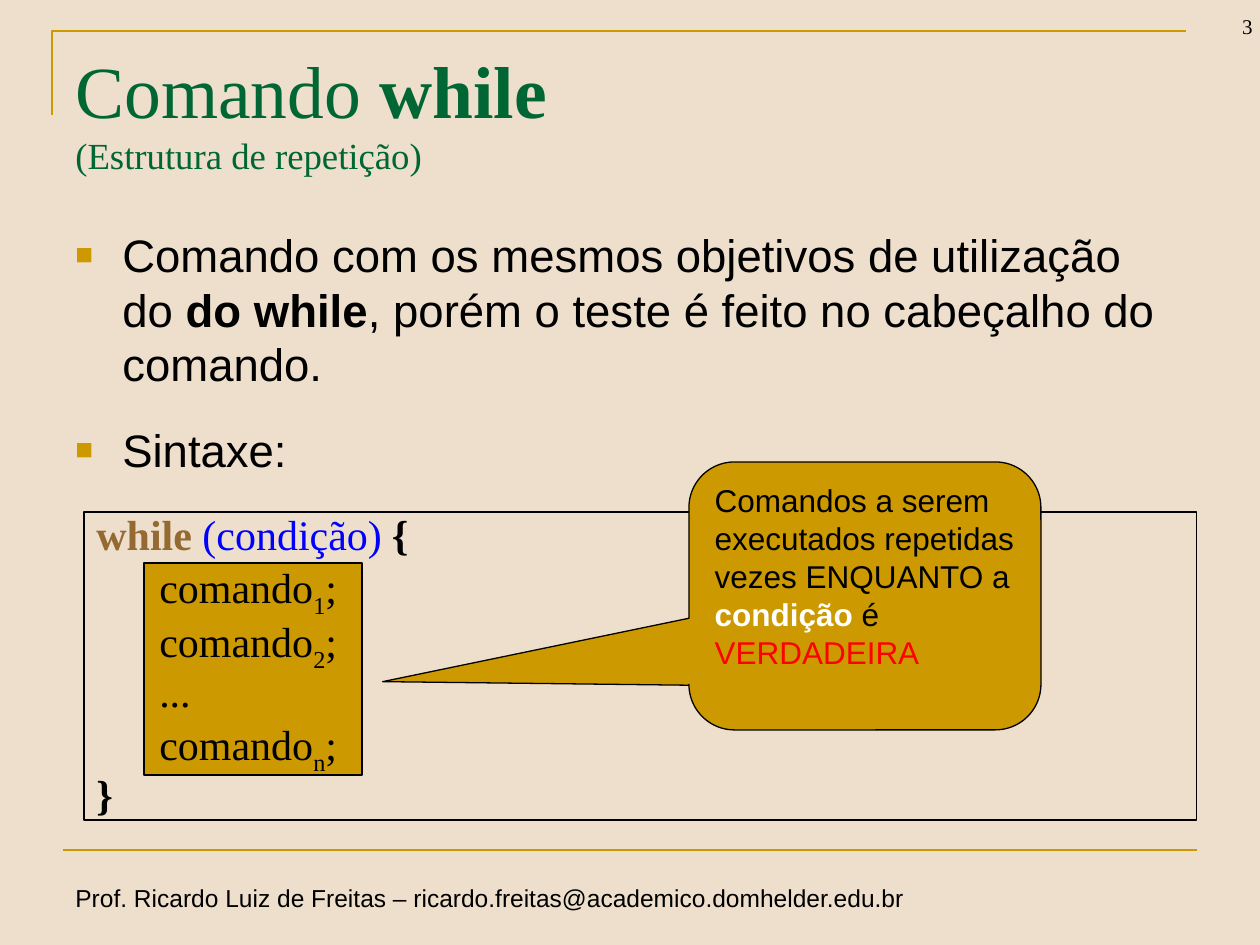
import pptx
import pptx.dml.color
import pptx.enum.shapes
import pptx.enum.text
import pptx.oxml
import pptx.oxml.ns
import pptx.util
from lxml import etree

EMU_PER_PX = 914400 // 126
GOLD, GREEN, BLACK = "CC9900", "006633", "000000"
SANS, SERIF = "Arial", "Times New Roman"
SHAPES = pptx.enum.shapes.MSO_SHAPE
ANCHOR = pptx.enum.text.MSO_ANCHOR
ALIGN = pptx.enum.text.PP_ALIGN


def px(length):
    return pptx.util.Emu(length * EMU_PER_PX)


def color(hex_string):
    return pptx.dml.color.RGBColor.from_string(hex_string)


def write_run(paragraph, text, font=SANS, size=18, fill=BLACK, bold=False, baseline=0):
    run = paragraph.add_run()
    run.text = text
    run.font.name = font
    run.font.size = pptx.util.Pt(size)
    run.font.bold = bold
    run.font.color.rgb = color(fill)
    if baseline:
        run.font._element.set("baseline", str(baseline * 1000))


def add_bullet(paragraph, indent=47):
    properties = paragraph._p.get_or_add_pPr()
    properties.set("marL", str(px(indent)))
    properties.set("indent", str(-px(indent)))
    namespace = pptx.oxml.ns.nsdecls("a")
    for xml in (
        f'<a:buClr {namespace}><a:srgbClr val="{GOLD}"/></a:buClr>',
        f'<a:buSzPct {namespace} val="65000"/>',
        f'<a:buFont {namespace} typeface="{SANS}"/>',
        f'<a:buChar {namespace} char="■"/>',
    ):
        properties.append(pptx.oxml.parse_xml(xml))


def write_text(shape, paragraphs, align=ALIGN.LEFT, anchor=ANCHOR.TOP, wrap=True,
               bullet=False, line_spacing=None, before=0, after=0, **base):
    """Fill a shape; a paragraph is a list of (text, changes to the base format)."""
    frame = shape.text_frame
    frame.word_wrap = wrap
    frame.vertical_anchor = anchor
    for index, runs in enumerate(paragraphs):
        paragraph = frame.add_paragraph() if index else frame.paragraphs[0]
        paragraph.alignment = align
        if line_spacing:
            paragraph.line_spacing = line_spacing
        if index and before:
            paragraph.space_before = pptx.util.Pt(before)
        if after:
            paragraph.space_after = pptx.util.Pt(after)
        if bullet:
            add_bullet(paragraph)
        for text, changes in runs:
            if text == "\n":
                paragraph.add_line_break()
            else:
                write_run(paragraph, text, **{**base, **changes})


def add_text(slide, box, paragraphs, **options):
    shape = slide.shapes.add_textbox(*map(px, box))
    write_text(shape, paragraphs, **options)


def add_outlined(slide, kind, box, fill=None):
    shape = slide.shapes.add_shape(kind, *map(px, box))
    shape.shadow.inherit = False
    if fill:
        shape.fill.solid()
        shape.fill.fore_color.rgb = color(fill)
    else:
        shape.fill.background()
    shape.line.color.rgb = color(BLACK)
    shape.line.width = pptx.util.Pt(0.75)
    return shape


def style_rule(shape):
    shape.line.color.rgb = color(GOLD)
    shape.line.width = pptx.util.Pt(1.5)


def add_corner_rule(slide):
    builder = slide.shapes.build_freeform(px(52), px(115), scale=1.0)
    builder.add_line_segments([(px(52), px(31)), (px(1186), px(31))], close=False)
    shape = builder.convert_to_shape()
    shape.shadow.inherit = False
    shape.fill.background()
    style_rule(shape)


def add_footer_rule(slide):
    line = slide.shapes.add_connector(
        pptx.enum.shapes.MSO_CONNECTOR.STRAIGHT, px(63), px(850), px(1197), px(850))
    style_rule(line)
    etree.SubElement(line._element.spPr, pptx.oxml.ns.qn("a:effectLst"))


def command(subscript):
    return [("      comando", {}), (subscript, {"baseline": -25}), (";", {})]


def add_syntax(slide):
    add_outlined(slide, SHAPES.RECTANGLE, (144, 563, 218, 212), GOLD)
    frame = add_outlined(slide, SHAPES.RECTANGLE, (84, 512, 1113, 308))
    bold = {"bold": True}
    write_text(frame, [
        [("while ", {"fill": "946A32", **bold}), ("(condição)", {"fill": "0000FF"}),
         (" ", {"font": SANS, "size": 20}), ("{", bold)],
        command("1"),
        command("2"),
        [("      ...", {})],
        command("n"),
        [("}", bold)],
    ], font=SERIF, size=24, line_spacing=0.8, before=4.8)


def add_callout(slide):
    callout = add_outlined(
        slide, SHAPES.ROUNDED_RECTANGULAR_CALLOUT, (689, 462, 352, 268), GOLD)
    for index, value in enumerate((-1.37, 0.32, 0.17)):
        callout.adjustments[index] = value
    write_text(callout, [[
        ("Comandos a serem executados repetidas vezes ENQUANTO a ", {}),
        ("condição", {"fill": "FFFFFF", "bold": True}),
        (" é ", {}),
        ("VERDADEIRA", {"fill": "FF0000"}),
    ]])


def main():
    presentation = pptx.Presentation()
    presentation.slide_width, presentation.slide_height = px(1260), px(945)
    slide = presentation.slides.add_slide(presentation.slide_layouts[6])
    slide.background.fill.solid()
    slide.background.fill.fore_color.rgb = color("EEDFCC")

    add_corner_rule(slide)
    add_footer_rule(slide)
    add_text(slide, (63, 877, 864, 43), [[(
        "Prof. Ricardo Luiz de Freitas – ricardo.freitas@academico.domhelder.edu.br", {})]],
        size=14, wrap=False)
    add_text(slide, (1171, -18, 94, 63), [[("3", {})]],
             font=SERIF, size=12, align=ALIGN.RIGHT, anchor=ANCHOR.BOTTOM)
    add_text(slide, (63, 32, 1134, 158), [[
        ("Comando ", {}), ("while", {"bold": True}), ("\n", {}),
        ("(Estrutura de repetição)", {"size": 21}),
    ]], font=SERIF, size=42, fill=GREEN, anchor=ANCHOR.MIDDLE)
    add_text(slide, (63, 221, 1134, 287), [
        [("Comando com os mesmos objetivos de utilização do ", {}),
         ("do while", {"bold": True}),
         (", porém o teste é feito no cabeçalho do comando.", {})],
        [("Sintaxe:", {})],
    ], size=26, bullet=True, before=5, after=13)
    add_syntax(slide)
    add_callout(slide)
    presentation.save("out.pptx")


if __name__ == "__main__":
    main()
